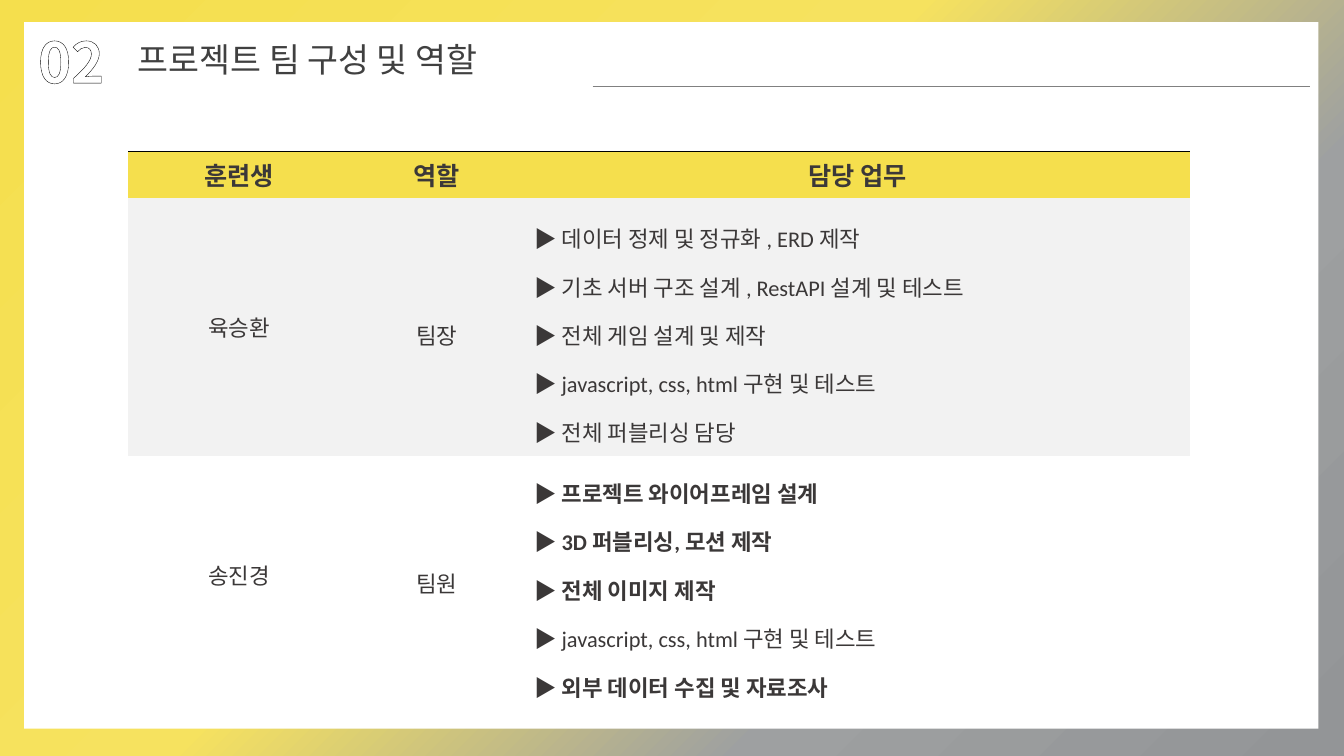
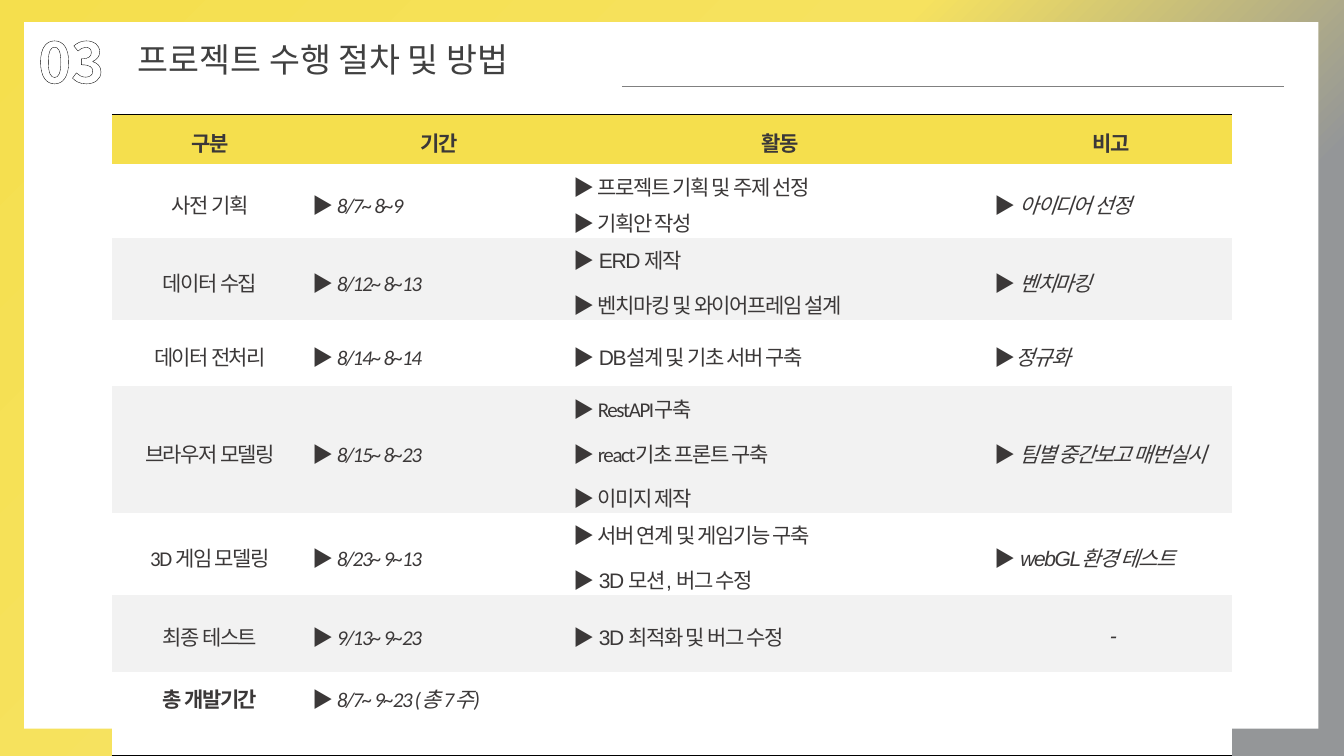
from lxml import etree
from pptx import Presentation
from pptx.dml.color import RGBColor
from pptx.enum import shapes, text
from pptx.oxml import ns
from pptx import util as u

COLORS = {
    "yellow": "F5DF4D", "pale_yellow": "F6E25F", "gray": "939597",
    "light_gray": "9EA0A1", "mid_gray": "949698", "band": "F2F2F2",
    "white": "FFFFFF", "ink": "3B3838", "title": "404040",
    "rule": "808080", "black": "000000",
}
KOREAN = "Noto Sans CJK KR"
COLUMNS, ROWS = 160, 90
CELL = u.Inches(7.5) / ROWS
PLAIN_STYLE = "{2D5ABB26-0587-4C30-8999-92F81FD0307C}"
ARROW = "▶"
CENTER = text.PP_ALIGN.CENTER


def grid(*lengths):
    return [u.Emu(round(length * CELL)) for length in lengths]


def rgb(name):
    return RGBColor.from_string(COLORS[name])


def add_tag(parent, tag, **attributes):
    return etree.SubElement(parent, ns.qn(tag), attributes)


def add_color(parent, name):
    add_tag(parent, "a:srgbClr", val=COLORS[name])


def make_line(tag, color, points):
    line = etree.Element(ns.qn(tag), {"w": str(u.Pt(points))})
    add_color(add_tag(line, "a:solidFill"), color)
    return line


class Deck:
    def __init__(self):
        self.presentation = Presentation()
        self.presentation.slide_width, self.presentation.slide_height = grid(COLUMNS, ROWS)
        self.slide = None

    def add_slide(self, number, title, title_width, rule_start, rule_end, late_stop):
        self.slide = self.presentation.slides.add_slide(self.presentation.slide_layouts[6])
        self.add_background(late_stop)
        self.add_panel()
        self.add_number(number)
        self.add_title(title, title_width)
        self.add_rule(rule_start, rule_end)

    def add_background(self, late_stop):
        fill = self.slide.background.fill
        fill.gradient()
        fill.gradient_angle = 315
        stops = self.slide.element.find(".//" + ns.qn("a:gsLst"))
        for stop in list(stops):
            stops.remove(stop)
        for share, color in ((0, "yellow"), (44, "pale_yellow"), (71, late_stop), (100, "gray")):
            add_color(add_tag(stops, "a:gs", pos=str(share * 1000)), color)

    def add_panel(self):
        shape = self.slide.shapes.add_shape(
            shapes.MSO_SHAPE.RECTANGLE, *grid(2.88, 2.64, 154.08, 84.12))
        shape.shadow.inherit = False
        shape.fill.solid()
        shape.fill.fore_color.rgb = rgb("white")
        shape.line.fill.background()

    def add_text(self, content, box, wrap, color, **font_values):
        shape = self.slide.shapes.add_textbox(*grid(*box))
        frame = shape.text_frame
        frame.word_wrap = wrap
        frame.auto_size = text.MSO_AUTO_SIZE.SHAPE_TO_FIT_TEXT
        return self.add_run(frame.paragraphs[0], content, color, name=KOREAN, **font_values)

    def add_number(self, number):
        properties = self.add_text(number, (3.36, 2.64, 15.24, 9.24), True, None,
                                   size=u.Pt(40), bold=True)
        pattern = etree.Element(ns.qn("a:pattFill"), {"prst": "dkUpDiag"})
        add_color(add_tag(pattern, "a:fgClr"), "ink")
        add_color(add_tag(pattern, "a:bgClr"), "white")
        properties.insert(0, pattern)
        properties.insert(0, make_line("a:ln", "black", 1.25))

    def add_title(self, title, width):
        self.add_text(title, (15.24, 4.08, width, 6), False, "title", size=u.Pt(24))

    def add_rule(self, start, end):
        connector = self.slide.shapes.add_connector(
            shapes.MSO_CONNECTOR.STRAIGHT, *grid(start, 10.32, end, 10.32))
        connector.line.color.rgb = rgb("rule")
        connector.line.width = u.Pt(1)
        add_tag(connector.element.spPr, "a:effectLst")

    def add_run(self, paragraph, content, color, tracking=0, **font_values):
        run = paragraph.add_run()
        run.text = content
        for name, value in font_values.items():
            setattr(run.font, name, value)
        if color:
            run.font.color.rgb = rgb(color)
        properties = run.font._element
        if tracking:
            properties.set("spc", str(tracking * 100))
        add_tag(properties, "a:ea", typeface=KOREAN)
        return properties

    def add_table(self, left, top, widths, heights):
        frame = self.slide.shapes.add_table(
            len(heights), len(widths), *grid(left, top, sum(widths), sum(heights)))
        table = frame.table
        table.first_row = table.horz_banding = False
        table._tbl.tblPr.find(ns.qn("a:tableStyleId")).text = PLAIN_STYLE
        for column, width in zip(table.columns, grid(*widths)):
            column.width = width
        for row, height in zip(table.rows, grid(*heights)):
            row.height = height
        return table

    def fill_cell(self, cell, lines, fill, insets, edge=None, spacing=1.0, gap=0,
                  align=None, tracking=0, **font_values):
        values = {"vertical_anchor": text.MSO_ANCHOR.MIDDLE}
        sides = ("margin_left", "margin_top", "margin_right", "margin_bottom")
        values.update(zip(sides, (u.Inches(inset) for inset in insets)))
        for name, value in values.items():
            setattr(cell, name, value)
        cell.fill.solid()
        cell.fill.fore_color.rgb = rgb(fill)
        if edge:
            cell._tc.get_or_add_tcPr().insert(0, make_line(edge, "black", 0.75))
        frame = cell.text_frame
        for index, line in enumerate(lines):
            paragraph = frame.add_paragraph() if index else frame.paragraphs[0]
            paragraph.line_spacing = spacing
            if align is not None:
                paragraph.alignment = align
            if index and gap:
                paragraph.space_before = u.Pt(gap)
            if line.startswith(ARROW):
                arrow = dict(font_values, name=KOREAN, bold=True, italic=False)
                properties = self.add_run(paragraph, ARROW, "ink", tracking, **arrow)
                properties.insert(0, make_line("a:ln", "gray", 1))
                line = line[len(ARROW):]
            style = dict(font_values)
            if line.endswith("**"):
                style["bold"], line = True, line[:-2]
            self.add_run(paragraph, line, "ink", tracking, **style)


def add_team_slide(deck):
    deck.add_slide("02", "프로젝트 팀 구성 및 역할", 50.88, 70.56, 156, "light_gray")
    table = deck.add_table(15.24, 18, (26.4, 20.76, 79.32), (5.52, 30.72, 28.44))
    base = {"insets": (0.1, 0.05, 0.1, 0.05), "name": "Calibri"}
    for column, heading in enumerate(("훈련생", "역할", "담당 업무")):
        deck.fill_cell(table.cell(0, column), [heading], "yellow", edge="a:lnT",
                       align=CENTER, size=u.Pt(18), bold=True, **base)
    members = (
        ("육승환", "팀장", "band", (
            "▶ 데이터 정제 및 정규화 , ERD 제작",
            "▶ 기초 서버 구조 설계 , RestAPI 설계 및 테스트",
            "▶ 전체 게임 설계 및 제작",
            "▶ javascript, css, html 구현 및 테스트",
            "▶ 전체 퍼블리싱 담당")),
        ("송진경", "팀원", "white", (
            "▶ 프로젝트 와이어프레임 설계**",
            "▶ 3D 퍼블리싱, 모션 제작**",
            "▶ 전체 이미지 제작**",
            "▶ javascript, css, html 구현 및 테스트",
            "▶ 외부 데이터 수집 및 자료조사**")),
    )
    for row, (member, role, fill, duties) in enumerate(members, 1):
        cells = (([member], 1.0, CENTER), ([role], 1.5, CENTER), (duties, 1.5, None))
        for column, (lines, spacing, align) in enumerate(cells):
            deck.fill_cell(table.cell(row, column), lines, fill, spacing=spacing,
                           align=align, size=u.Pt(16), **base)


def add_schedule_slide(deck):
    deck.add_slide("03", "프로젝트 수행 절차 및 방법", 54.96, 74.04, 152.88, "mid_gray")
    table = deck.add_table(13.32, 13.68, (23.4, 31.08, 50.16, 28.68),
                           (5.88, 8.8, 9.7, 7.95, 15.1, 9.75, 9.15, 9.9))
    base = {"spacing": 1.2, "tracking": -1, "size": u.Pt(15)}
    padded, tight = (0.09, 0.05, 0.09, 0.05), (0.04, 0, 0, 0)
    for column, heading in enumerate(("구분", "기간", "활동", "비고")):
        deck.fill_cell(table.cell(0, column), [heading], "yellow", padded, edge="a:lnT",
                       align=CENTER, name="Calibri", bold=True, **base)
    phases = (
        ("사전 기획", "▶ 8/7~ 8~9", ("▶ 프로젝트 기획 및 주제 선정", "▶ 기획안 작성"),
         "▶ 아이디어 선정", "Calibri", 0),
        ("데이터 수집", "▶ 8/12~ 8~13", ("▶ ERD 제작", "▶ 벤치마킹 및 와이어프레임 설계"),
         "▶ 벤치마킹", "Arial", 6),
        ("데이터 전처리", "▶ 8/14~ 8~14", ("▶ DB설계 및 기초 서버 구축",),
         "▶정규화", "Arial", 6),
        ("브라우저 모델링", "▶ 8/15~ 8~23",
         ("▶ RestAPI구축", "▶ react기초 프론트 구축", "▶ 이미지 제작"),
         "▶ 팀별 중간보고 매번실시", "Calibri", 6),
        ("3D 게임 모델링", "▶ 8/23~ 9~13", ("▶ 서버 연계 및 게임기능 구축", "▶ 3D 모션, 버그 수정"),
         "▶ webGL환경 테스트", "Arial", 6),
        ("최종 테스트", "▶ 9/13~ 9~23", ("▶ 3D 최적화 및 버그 수정",), "-", "Arial", 6),
        ("총 개발기간**", "▶ 8/7~ 9~23 (총 7주)", (), "", "Calibri", 6),
    )
    for row, (phase, period, activities, note, font, gap) in enumerate(phases, 1):
        last = row == len(phases)
        note_align = CENTER if note == "-" else None
        cells = (
            ([phase], padded, "Calibri", False, CENTER),
            ([period], tight, "Calibri", True, None),
            (activities, tight, font, False, None),
            ([note] if note else [], tight, "Arial", True, note_align),
        )
        for column, (lines, insets, name, italic, align) in enumerate(cells):
            if last:
                insets = (*insets[:3], insets[3] + 0.36)
            deck.fill_cell(table.cell(row, column), lines, "white" if row % 2 else "band",
                           insets, edge="a:lnB" if last else None, gap=gap, align=align,
                           name=name, italic=italic, **base)


def main():
    deck = Deck()
    add_team_slide(deck)
    add_schedule_slide(deck)
    deck.presentation.save("out.pptx")


if __name__ == "__main__":
    main()
